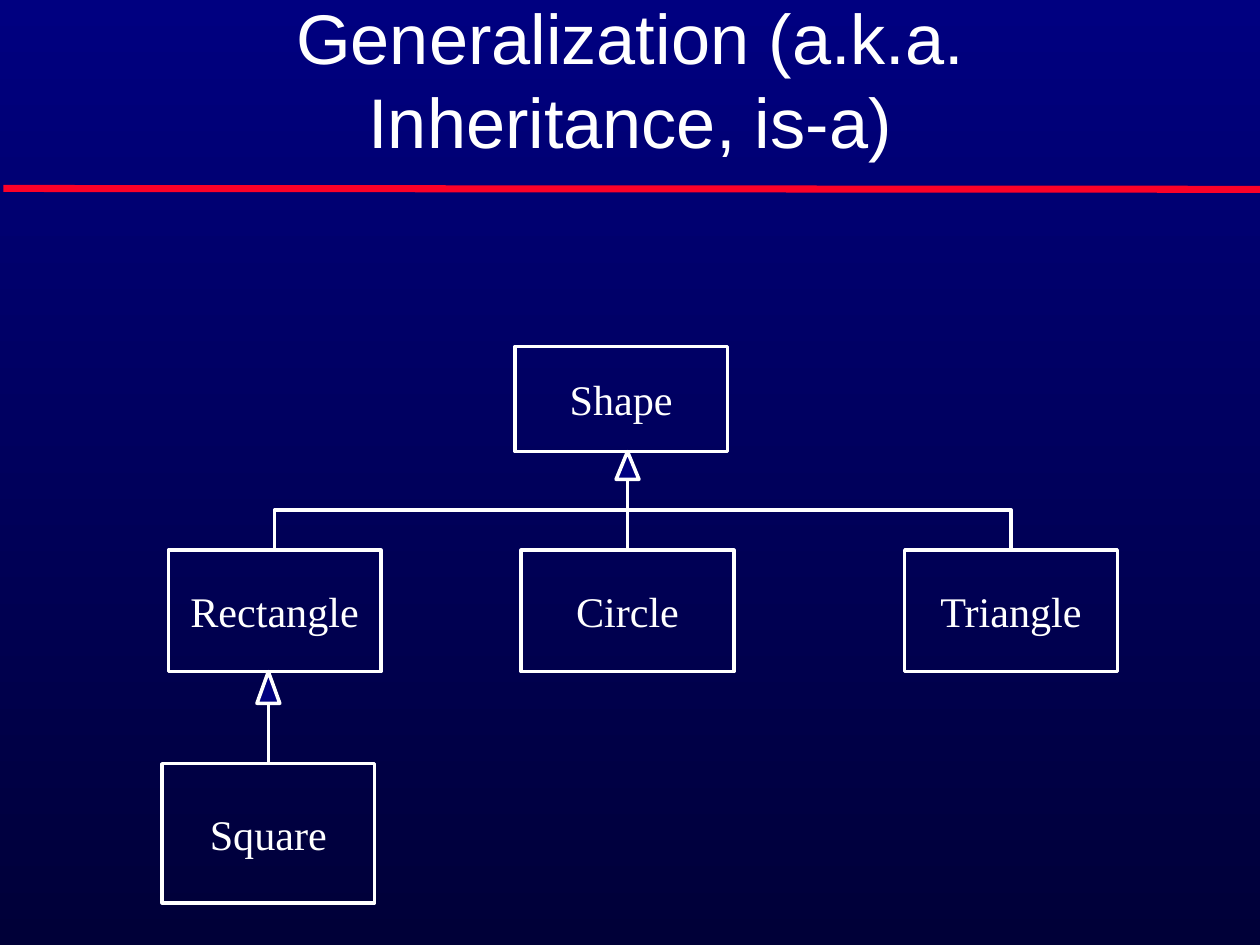
from lxml import etree
from pptx import Presentation
from pptx.dml.color import RGBColor
from pptx.enum import shapes, text
from pptx.oxml.ns import qn
from pptx.util import Pt

WHITE = RGBColor(0xFF, 0xFF, 0xFF)
RED = RGBColor(0xFC, 0x01, 0x28)
NAVY = RGBColor(0x00, 0x00, 0x80)
MIDNIGHT = RGBColor(0x00, 0x00, 0x38)

CLASS_WIDTH = 121
LINE_WIDTH = 2


def write(shape, words, *, font, size, anchor, wrap, side_inset=7.2):
    frame = shape.text_frame
    frame.word_wrap = wrap
    frame.vertical_anchor = anchor
    frame.margin_left = frame.margin_right = Pt(side_inset)
    frame.margin_top = frame.margin_bottom = Pt(3.6)
    paragraph = frame.paragraphs[0]
    paragraph.alignment = text.PP_ALIGN.CENTER
    run = paragraph.add_run()
    run.text = words
    run.font.name = font
    run.font.size = Pt(size)
    run.font.color.rgb = WHITE


def draw_line(x1, y1, x2, y2, color, width):
    line = slide.shapes.add_connector(
        shapes.MSO_CONNECTOR.STRAIGHT, Pt(x1), Pt(y1), Pt(x2), Pt(y2))
    line.line.color.rgb = color
    line.line.width = Pt(width)
    etree.SubElement(line._element.spPr, qn("a:effectLst"))


prs = Presentation()
prs.slide_width, prs.slide_height = Pt(717), Pt(538)
slide = prs.slides.add_slide(prs.slide_layouts[6])

backdrop = slide.background.fill
backdrop.gradient()
backdrop.gradient_angle = 270
for stop, color in zip(backdrop.gradient_stops, (NAVY, MIDNIGHT)):
    stop.color.rgb = color

draw_line(2, 107.3, 717, 107.8, RED, 4)
title = slide.shapes.add_textbox(Pt(52.5), Pt(24), Pt(612), Pt(72))
write(title, "Generalization (a.k.a. Inheritance, is-a)", font="Arial", size=40,
      anchor=text.MSO_ANCHOR.BOTTOM, wrap=True, side_inset=14)

# Class boxes: name, left, top, height
classes = [
    ("Shape", 293, 197.3, 59.8),
    ("Rectangle", 95.8, 313.2, 69.2),
    ("Circle", 296.6, 313.2, 69.2),
    ("Triangle", 514.8, 313.2, 69.2),
    ("Square", 92.2, 434.8, 79.2),
]
center, top, bottom = {}, {}, {}
for name, left, y, height in classes:
    box = slide.shapes.add_shape(shapes.MSO_SHAPE.RECTANGLE,
                                 Pt(left), Pt(y), Pt(CLASS_WIDTH), Pt(height))
    box.shadow.inherit = False
    box.fill.background()
    box.line.color.rgb = WHITE
    box.line.width = Pt(LINE_WIDTH)
    write(box, name, font="Times New Roman", size=24,
          anchor=text.MSO_ANCHOR.MIDDLE, wrap=False)
    center[name] = left + CLASS_WIDTH / 2
    top[name] = y
    bottom[name] = y + height

# Side branches join the Circle line halfway up to Shape
join_y = 290.2
for name in ("Rectangle", "Triangle"):
    builder = slide.shapes.build_freeform(Pt(center[name]), Pt(top[name]))
    builder.add_line_segments([(Pt(center[name]), Pt(join_y)),
                               (Pt(center["Circle"]), Pt(join_y))], close=False)
    branch = builder.convert_to_shape()
    branch.shadow.inherit = False
    branch.fill.background()
    branch.line.color.rgb = WHITE
    branch.line.width = Pt(LINE_WIDTH)

# Inheritance arrows: child, parent, head height
for child, parent, head_height in (("Circle", "Shape", 15.8),
                                   ("Square", "Rectangle", 18)):
    x = center[child]
    draw_line(x, top[child], x, bottom[parent], WHITE, LINE_WIDTH)
    head = slide.shapes.add_shape(shapes.MSO_SHAPE.ISOSCELES_TRIANGLE,
                                  Pt(x - 6.5), Pt(bottom[parent]), Pt(13), Pt(head_height))
    head.shadow.inherit = False
    head.fill.solid()
    head.fill.fore_color.rgb = NAVY
    head.line.color.rgb = WHITE
    head.line.width = Pt(LINE_WIDTH)

prs.save("out.pptx")
